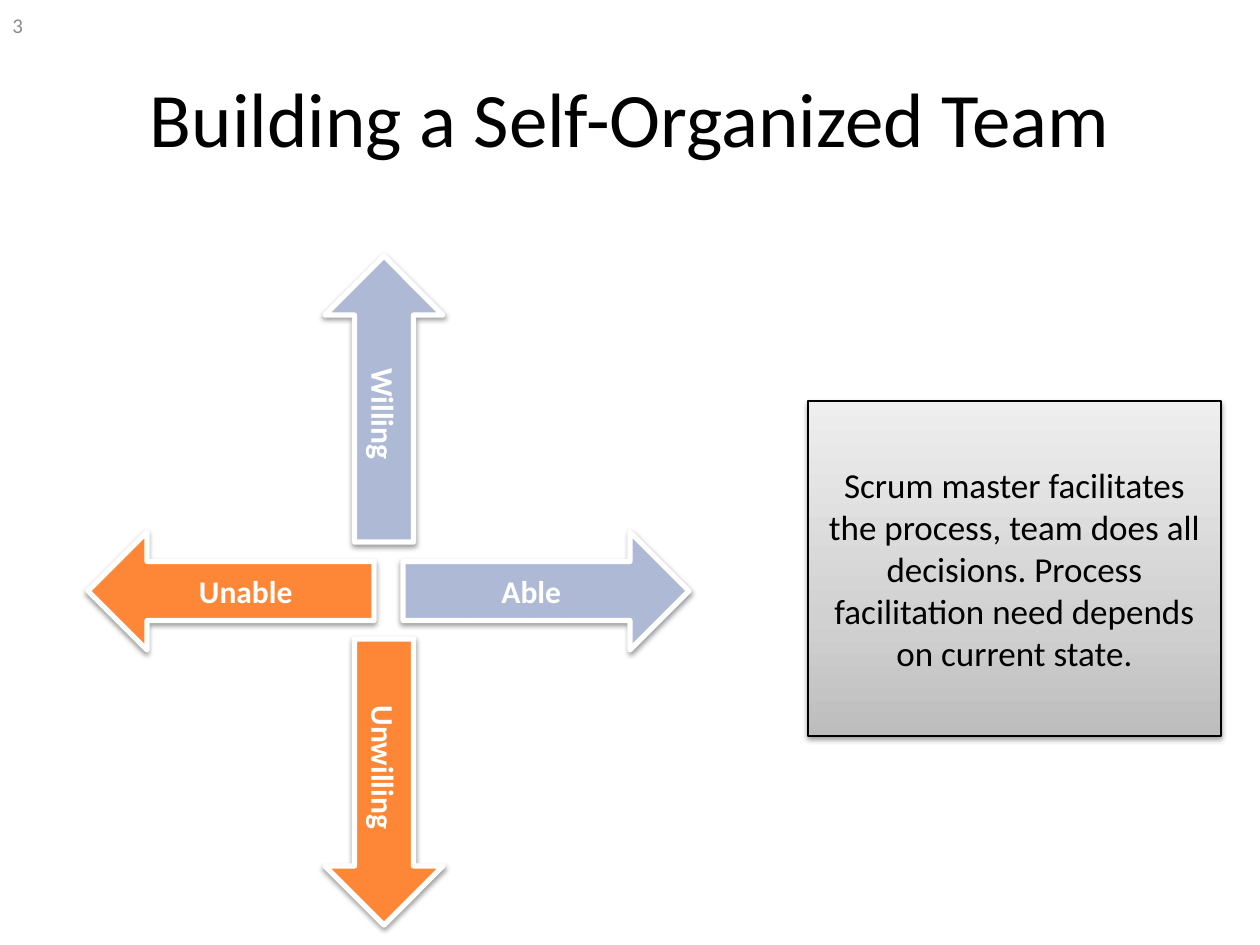
"""Build the slide on self-organized teams with its four-way arrow diagram."""
from dataclasses import dataclass

from lxml import etree
from pptx import Presentation
from pptx.dml.color import RGBColor
from pptx.enum.shapes import MSO_SHAPE
from pptx.enum.text import MSO_ANCHOR, MSO_AUTO_SIZE, PP_ALIGN
from pptx.oxml.ns import qn
from pptx.util import Emu, Pt

EMU_PER_PX = 914400 / 126
FONT = "Calibri"
RECTANGLE = MSO_SHAPE.RECTANGLE
RIGHT_ARROW = MSO_SHAPE.RIGHT_ARROW
MIDDLE = MSO_ANCHOR.MIDDLE
NO_AUTOFIT = MSO_AUTO_SIZE.NONE
CENTER = PP_ALIGN.CENTER
LEFT = PP_ALIGN.LEFT

BLACK, WHITE, GRAY = "000000", "FFFFFF", "8C8C8C"
POSITIVE, NEGATIVE = "AEBAD5", "FE8637"
ARROW_W, ARROW_H = 286, 118
BOX_STOPS = ((0, "BDBDBD"), (35, "D1D1D1"), (100, "EEEEEE"))


@dataclass
class Arrow:
    """A labelled arrow placed by its centre."""
    label: str
    cx: int
    cy: int
    color: str
    rotation: int = 0
    flips: tuple[str, ...] = ()


ARROWS = (
    Arrow("Able", 546, 591, POSITIVE),
    Arrow("Unable", 231, 591, NEGATIVE, flips=("flipH",)),
    Arrow("Willing", 384, 399, POSITIVE, 90, ("flipH",)),
    Arrow("Unwilling", 384, 782, NEGATIVE, 270, ("flipH", "flipV")),
)


def px(*values: int) -> list[Emu]:
    """Turn pixels into EMU."""
    return [Emu(round(v * EMU_PER_PX)) for v in values]


def rgb(color: str) -> RGBColor:
    """Turn a hex string into a colour."""
    return RGBColor.from_string(color)


def write(sp, text: str, *, size: int, color: str = BLACK, bold: bool = False,
          align=CENTER) -> None:
    """Put one formatted, vertically centred paragraph into a shape."""
    tf = sp.text_frame
    tf.word_wrap = True
    tf.auto_size = NO_AUTOFIT
    tf.vertical_anchor = MIDDLE
    p = tf.paragraphs[0]
    p.alignment = align
    r = p.add_run()
    r.text = text
    r.font.name = FONT
    r.font.size = Pt(size)
    r.font.bold = bold
    r.font.color.rgb = rgb(color)


def add_color(parent, color: str):
    """Append a hex colour element to an XML parent."""
    return etree.SubElement(parent, qn("a:srgbClr"), val=color)


def add_shadow(sp) -> None:
    """Give a shape a soft shadow below it."""
    sp.shadow.inherit = False
    effects = sp._element.spPr.find(qn("a:effectLst"))
    shadow = etree.SubElement(
        effects, qn("a:outerShdw"), blurRad=str(Pt(3.1)), dist=str(Pt(1.6)),
        dir="5400000", rotWithShape="0")
    etree.SubElement(add_color(shadow, BLACK), qn("a:alpha"), val="38000")


def add_shape(slide, kind, box: tuple[int, ...], line: str, width: float):
    """Add an outlined, shadowed preset shape."""
    sp = slide.shapes.add_shape(kind, *px(*box))
    sp.line.color.rgb = rgb(line)
    sp.line.width = Pt(width)
    add_shadow(sp)
    return sp


def fill_gradient(sp, stops: tuple[tuple[int, str], ...]) -> None:
    """Fill a shape with colour stops running from bottom to top."""
    sp.fill.gradient()
    sp.fill.gradient_angle = 90
    stop_list = sp._element.spPr.find(qn("a:gradFill")).find(qn("a:gsLst"))
    for gs in list(stop_list):
        stop_list.remove(gs)
    for percent, color in stops:
        gs = etree.SubElement(stop_list, qn("a:gs"), pos=str(percent * 1000))
        add_color(gs, color)


def add_arrow(slide, arrow: Arrow) -> None:
    """Draw one labelled arrow."""
    box = (arrow.cx - ARROW_W // 2, arrow.cy - ARROW_H // 2, ARROW_W, ARROW_H)
    sp = add_shape(slide, RIGHT_ARROW, box, WHITE, 3)
    sp.fill.solid()
    sp.fill.fore_color.rgb = rgb(arrow.color)
    sp.rotation = arrow.rotation
    for flip in arrow.flips:
        sp._element.spPr.xfrm.set(flip, "1")
    write(sp, arrow.label, size=18, color=WHITE, bold=True)


def main() -> None:
    """Build and save the slide."""
    prs = Presentation()
    prs.slide_width, prs.slide_height = px(1260, 945)
    slide = prs.slides.add_slide(prs.slide_layouts[5])

    title = slide.shapes.title
    title.left, title.top, title.width, title.height = px(63, 38, 1134, 158)
    write(title, "Building a Self-Organized Team", size=44)

    note = add_shape(slide, RECTANGLE, (808, 401, 413, 335), BLACK, 0.75)
    fill_gradient(note, BOX_STOPS)
    write(note, "Scrum master facilitates the process, team does all decisions. "
          "Process facilitation need depends on current state.", size=20)

    for arrow in ARROWS:
        add_arrow(slide, arrow)

    number = slide.shapes.add_textbox(*px(0, 0, 294, 50))
    write(number, "3", size=12, color=GRAY, align=LEFT)
    prs.save("out.pptx")


if __name__ == "__main__":
    main()
